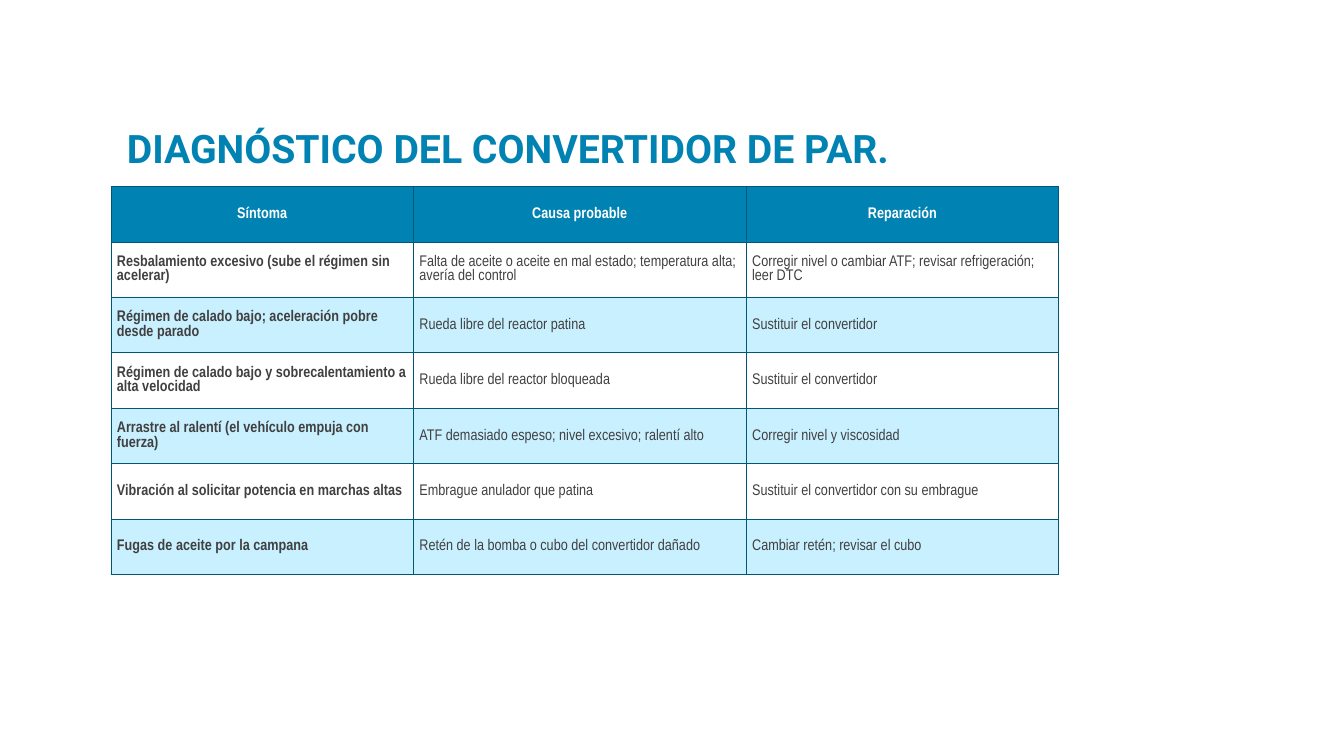
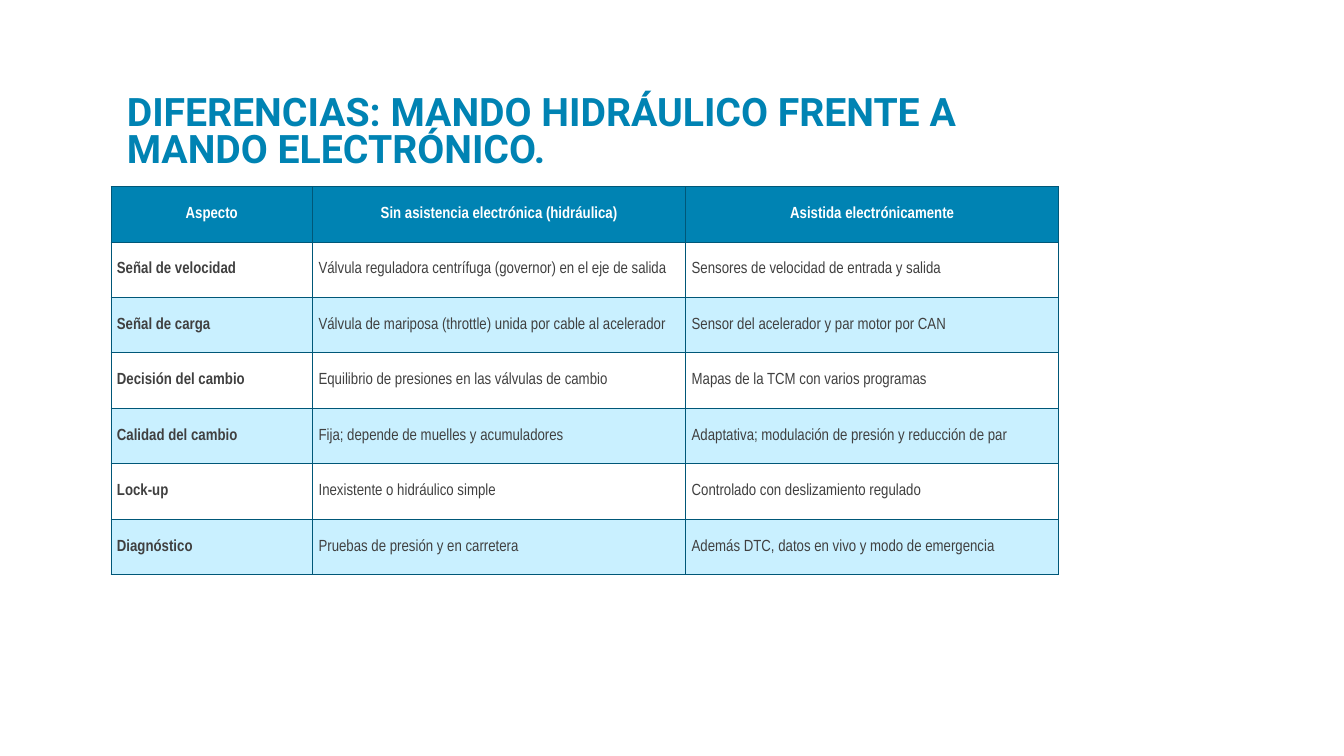
import pptx
import pptx.util
import pptx.dml.color
import pptx.enum.text
import pptx.oxml

COLORS = {
    "accent": "0083B3",
    "border": "005778",
    "text": "404040",
    "white": "FFFFFF",
    "band": "C9F0FF",
}
TITLE_FONT = "Roboto"
TABLE_FONT = "Arial Narrow"
COLUMN = pptx.util.Inches(0.1)
ROW = pptx.util.Inches(0.55)
TABLE_LEFT = 11 * COLUMN
TABLE_TOP = pptx.util.Inches(1.85)
SIDE_INSET = pptx.util.Inches(0.06)
EDGE_INSET = pptx.util.Inches(0.04)

tables = [
    {
        "title": "DIAGNÓSTICO DEL CONVERTIDOR DE PAR.",
        "size": 11,
        "columns": [30, 33, 31],
        "rows": [
            ["Síntoma", "Causa probable", "Reparación"],
            ["Resbalamiento excesivo (sube el régimen sin acelerar)",
             "Falta de aceite o aceite en mal estado; temperatura alta; avería del control",
             "Corregir nivel o cambiar ATF; revisar refrigeración; leer DTC"],
            ["Régimen de calado bajo; aceleración pobre desde parado",
             "Rueda libre del reactor patina", "Sustituir el convertidor"],
            ["Régimen de calado bajo y sobrecalentamiento a alta velocidad",
             "Rueda libre del reactor bloqueada", "Sustituir el convertidor"],
            ["Arrastre al ralentí (el vehículo empuja con fuerza)",
             "ATF demasiado espeso; nivel excesivo; ralentí alto",
             "Corregir nivel y viscosidad"],
            ["Vibración al solicitar potencia en marchas altas",
             "Embrague anulador que patina", "Sustituir el convertidor con su embrague"],
            ["Fugas de aceite por la campana",
             "Retén de la bomba o cubo del convertidor dañado",
             "Cambiar retén; revisar el cubo"],
        ],
    },
    {
        "title": "DIFERENCIAS: MANDO HIDRÁULICO FRENTE A MANDO ELECTRÓNICO.",
        "size": 11.5,
        "columns": [20, 37, 37],
        "rows": [
            ["Aspecto", "Sin asistencia electrónica (hidráulica)", "Asistida electrónicamente"],
            ["Señal de velocidad",
             "Válvula reguladora centrífuga (governor) en el eje de salida",
             "Sensores de velocidad de entrada y salida"],
            ["Señal de carga",
             "Válvula de mariposa (throttle) unida por cable al acelerador",
             "Sensor del acelerador y par motor por CAN"],
            ["Decisión del cambio", "Equilibrio de presiones en las válvulas de cambio",
             "Mapas de la TCM con varios programas"],
            ["Calidad del cambio", "Fija; depende de muelles y acumuladores",
             "Adaptativa; modulación de presión y reducción de par"],
            ["Lock-up", "Inexistente o hidráulico simple",
             "Controlado con deslizamiento regulado"],
            ["Diagnóstico", "Pruebas de presión y en carretera",
             "Además DTC, datos en vivo y modo de emergencia"],
        ],
    },
]


def style_font(paragraph, name, size, color, bold):
    paragraph.font.name = name
    paragraph.font.size = pptx.util.Pt(size)
    paragraph.font.bold = bold
    paragraph.font.color.rgb = pptx.dml.color.RGBColor.from_string(COLORS[color])


def add_borders(cell):
    properties = cell._tc.get_or_add_tcPr()
    for position, side in enumerate(["lnL", "lnR", "lnT", "lnB"]):
        border = pptx.oxml.parse_xml(
            f'<a:{side} xmlns:a="http://schemas.openxmlformats.org/drawingml/2006/main" '
            f'w="{pptx.util.Pt(0.5)}"><a:solidFill><a:srgbClr val="{COLORS["border"]}"/>'
            f'</a:solidFill></a:{side}>'
        )
        properties.insert(position, border)


deck = pptx.Presentation()
deck.slide_width = pptx.util.Inches(13.33)
deck.slide_height = pptx.util.Inches(7.5)

for content in tables:
    page = deck.slides.add_slide(deck.slide_layouts[6])

    title_box = page.shapes.add_textbox(
        pptx.util.Inches(1.16), pptx.util.Inches(0.58), 95 * COLUMN, pptx.util.Inches(1.17)
    )
    title_box.text_frame.word_wrap = True
    title_box.text_frame.vertical_anchor = pptx.enum.text.MSO_ANCHOR.BOTTOM
    title = title_box.text_frame.paragraphs[0]
    title.text = content["title"]
    title.line_spacing = 0.8
    style_font(title, TITLE_FONT, 28, "accent", True)

    rows, columns = content["rows"], content["columns"]
    table = page.shapes.add_table(
        len(rows), len(columns), TABLE_LEFT, TABLE_TOP, sum(columns) * COLUMN, len(rows) * ROW
    ).table
    table.horz_banding = False
    for column, width in zip(table.columns, columns):
        column.width = width * COLUMN

    for row_index, row in enumerate(rows):
        table.rows[row_index].height = ROW
        is_header = row_index == 0
        fill = "accent" if is_header else "white" if row_index % 2 else "band"
        for column_index, text in enumerate(row):
            cell = table.cell(row_index, column_index)
            cell.margin_left = cell.margin_right = SIDE_INSET
            cell.margin_top = cell.margin_bottom = EDGE_INSET
            cell.vertical_anchor = pptx.enum.text.MSO_ANCHOR.MIDDLE
            cell.fill.solid()
            cell.fill.fore_color.rgb = pptx.dml.color.RGBColor.from_string(COLORS[fill])
            add_borders(cell)
            para = cell.text_frame.paragraphs[0]
            para.text = text
            if is_header:
                para.alignment = pptx.enum.text.PP_ALIGN.CENTER
            style_font(para, TABLE_FONT, content["size"],
                       "white" if is_header else "text", is_header or column_index == 0)

deck.save("out.pptx")
